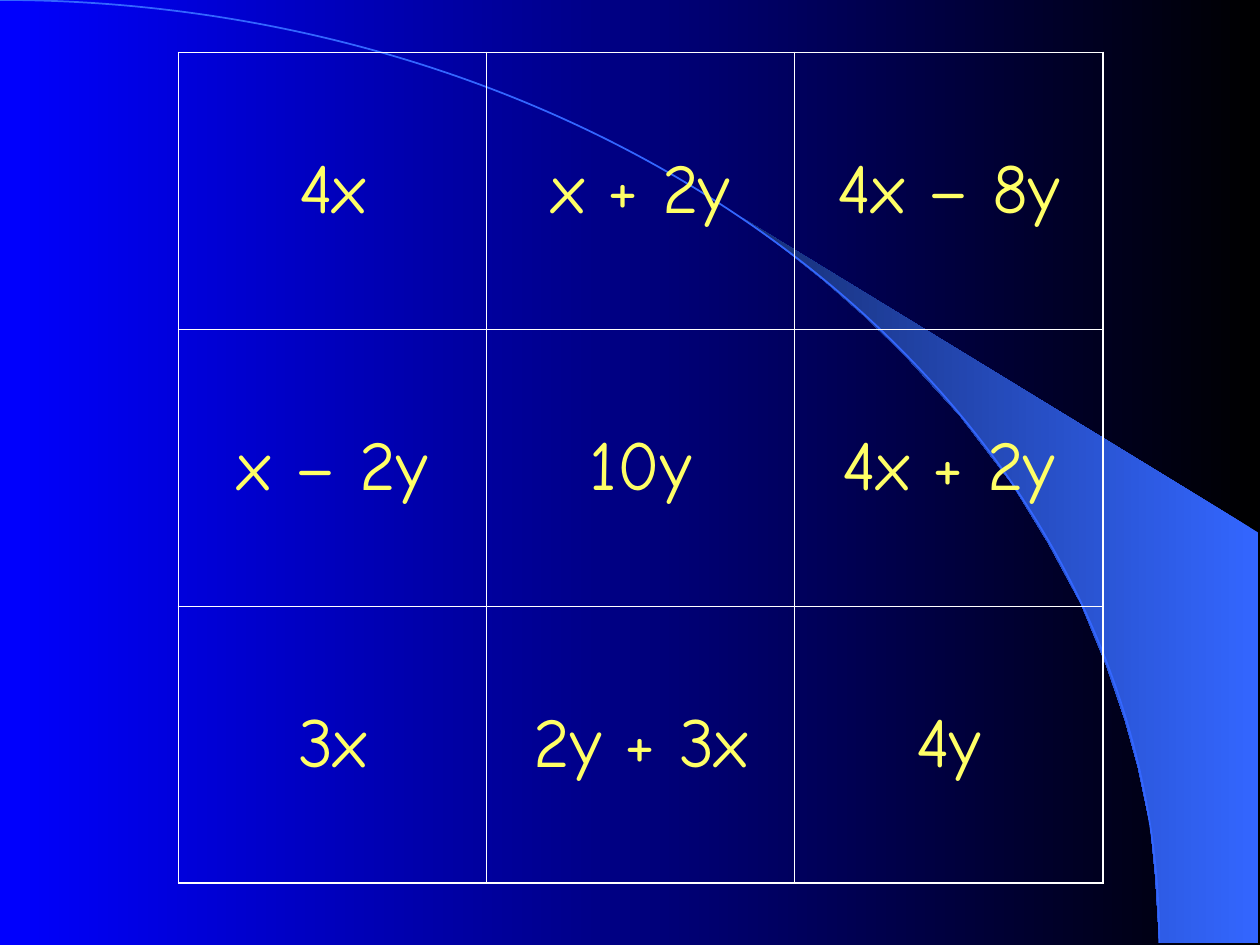
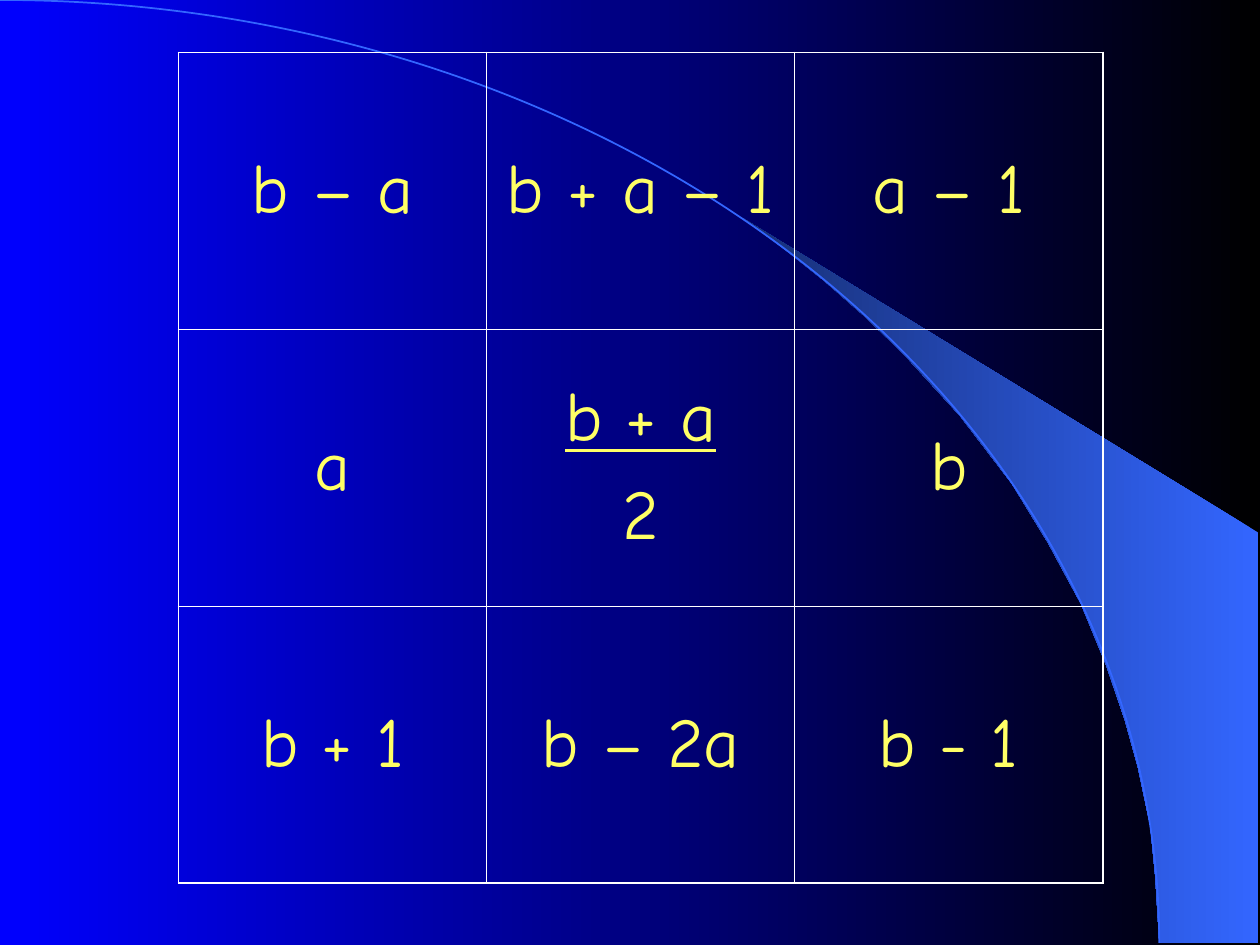
"""Build two slides of algebraic magic squares on a blue sweep background."""
from lxml import etree
from pptx import Presentation
from pptx.dml.color import RGBColor
from pptx.enum.shapes import MSO_SHAPE
from pptx.enum.text import MSO_ANCHOR, PP_ALIGN
from pptx.oxml.ns import qn
from pptx.util import Cm, Pt

ARC = MSO_SHAPE.ARC
MIDDLE = MSO_ANCHOR.MIDDLE
CENTER = PP_ALIGN.CENTER

BLACK, BLUE, SKY, NAVY = "000000", "0000FF", "3366FF", "172F75"
YELLOW, WHITE = "FFFF66", "FFFFFF"
FONT = "Comic Neue"
OUTER, INNER = Pt(1.08), Pt(0.45)
SIZE = 3
COLUMN_WIDTH, ROW_HEIGHT = Cm(6.21), Cm(5.58)

SQUARES = [
    [["4x", "x + 2y", "4x – 8y"],
     ["x – 2y", "10y", "4x + 2y"],
     ["3x", "2y + 3x", "4y"]],
    [["b – a", "b + a – 1", "a – 1"],
     ["a", "b + a\n2", "b"],
     ["b + 1", "b – 2a", "b - 1"]],
]

SWEEP = [
    (23.37, 19), (25.37, 19.02), (25.37, 10.74), (14.96, 4.39), (15.85, 5.05),
    (16.59, 5.64), (17.4, 6.35), (18.19, 7.11), (19.35, 8.38), (20.4, 9.75),
    (21.13, 10.95), (21.79, 12.17), (22.3, 13.41), (22.68, 14.53),
    (22.94, 15.47), (23.19, 16.66), (23.29, 17.68),
]


def rgb(hex_color):
    """Turn a hex string into a colour."""
    return RGBColor.from_string(hex_color)


def fill_from_right(fill, *colors):
    """Fill with a gradient that runs from right to left."""
    fill.gradient()
    fill.gradient_angle = 180
    for stop, color in zip(fill.gradient_stops, colors):
        stop.color.rgb = rgb(color)


prs = Presentation()
prs.slide_width, prs.slide_height = Cm(25.4), Cm(19.05)
master = prs.slide_master
fill_from_right(master.background.fill, BLACK, BLUE)
slides = [prs.slides.add_slide(prs.slide_layouts[6]) for _ in SQUARES]

points = [(Cm(x), Cm(y)) for x, y in SWEEP]
outline = slides[0].shapes.build_freeform(*points[0])
outline.add_line_segments(points[1:], close=True)
sweep = outline.convert_to_shape()
fill_from_right(sweep.fill, SKY, NAVY)
sweep.line.fill.background()

curve = slides[0].shapes.add_shape(ARC, Cm(-23.37), Cm(0), Cm(46.74), Cm(38.02))
curve.fill.background()
curve.line.color.rgb = rgb(SKY)
curve.line.width = Pt(1)

for number, decoration in enumerate((sweep, curve), start=101):
    decoration.shadow.inherit = False
    decoration.element.nvSpPr.cNvPr.set("id", str(number))
    master.shapes.element.append(decoration.element)

for slide, square in zip(slides, SQUARES):
    grid = slide.shapes.add_table(SIZE, SIZE, Cm(3.6), Cm(1.06),
                                  SIZE * COLUMN_WIDTH, SIZE * ROW_HEIGHT).table
    grid.first_row = grid.horz_banding = False
    for column in grid.columns:
        column.width = COLUMN_WIDTH
    for row in grid.rows:
        row.height = ROW_HEIGHT

    for r, expressions in enumerate(square):
        for c, expression in enumerate(expressions):
            cell = grid.cell(r, c)
            cell.text = expression
            cell.vertical_anchor = MIDDLE
            edges = {"a:lnL": c == 0, "a:lnR": c == SIZE - 1,
                     "a:lnT": r == 0, "a:lnB": r == SIZE - 1}
            properties = cell._tc.get_or_add_tcPr()
            for tag, is_outer in edges.items():
                border = etree.SubElement(properties, qn(tag),
                                          w=str(OUTER if is_outer else INNER))
                solid = etree.SubElement(border, qn("a:solidFill"))
                etree.SubElement(solid, qn("a:srgbClr"), val=WHITE)
            cell.fill.background()

            paragraphs = cell.text_frame.paragraphs
            for paragraph in paragraphs:
                paragraph.alignment = CENTER
                paragraph.font.name = FONT
                paragraph.font.size = Pt(40)
                paragraph.font.color.rgb = rgb(YELLOW)
            for numerator, denominator in zip(paragraphs, paragraphs[1:]):
                numerator.font.underline = True
                denominator.space_before = Pt(10)

prs.save("out.pptx")
